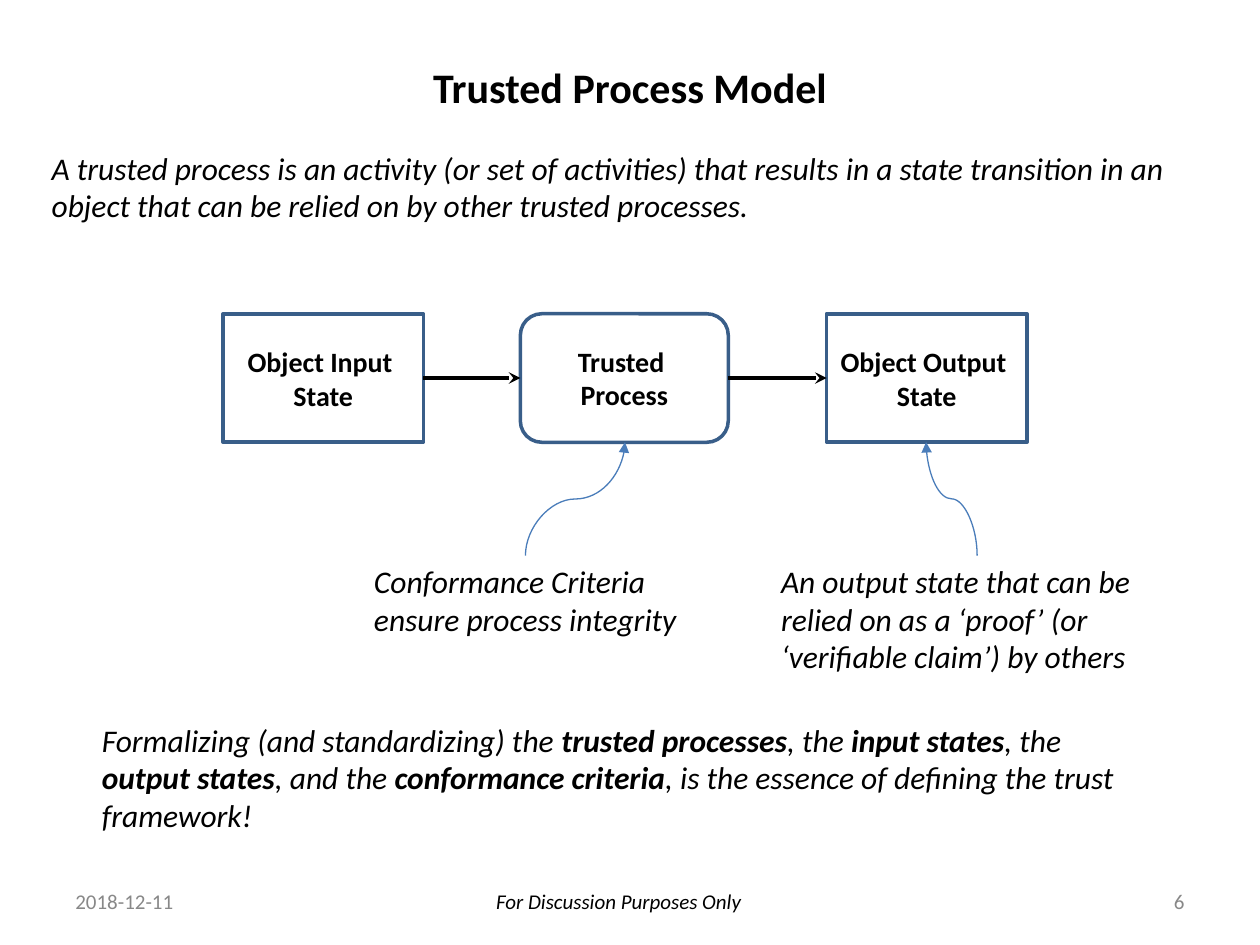
from lxml.etree import SubElement
from pptx import Presentation
from pptx.dml.color import RGBColor
from pptx.enum.shapes import MSO_CONNECTOR, MSO_SHAPE
from pptx.enum.text import MSO_ANCHOR, MSO_AUTO_SIZE, PP_ALIGN
from pptx.oxml.ns import qn
from pptx.util import Inches, Pt

COLORS = {"text": "000000", "muted": "888888", "fill": "FFFFFF",
          "border": "395E89", "pointer": "4A7DBA"}
FONT = "Calibri"
STATE_WIDTH, PROCESS_WIDTH, STEP_HEIGHT = 1.59, 1.65, 1.02
STEP_TOP, NOTE_TOP = 2.49, 4.41


def color(name):
    return RGBColor.from_string(COLORS[name])


def format_text(shape, size, name="text", bold=False, italic=False,
                align=PP_ALIGN.LEFT, anchor=MSO_ANCHOR.TOP):
    frame = shape.text_frame
    frame.word_wrap = True
    frame.auto_size = MSO_AUTO_SIZE.NONE
    frame.vertical_anchor = anchor
    for para in frame.paragraphs:
        para.alignment = align
        para.space_before = Pt(0)
        for span in para.runs:
            span.font.name = FONT
            span.font.size = Pt(size)
            span.font.bold = bold
            span.font.italic = italic
            span.font.color.rgb = color(name)


def place(shape, box):
    shape.left, shape.top, shape.width, shape.height = map(Inches, box)


def add_text(page, box, text, size=18, **style):
    shape = page.shapes.add_textbox(*map(Inches, box))
    shape.text_frame.text = text
    format_text(shape, size, **style)
    return shape


def add_heading(page, title_box, body_box):
    title, body = page.shapes.title, page.placeholders[1]
    place(title, title_box)
    title.text_frame.text = "Trusted Process Model"
    format_text(title, 24, bold=True, align=PP_ALIGN.CENTER, anchor=MSO_ANCHOR.MIDDLE)

    place(body, body_box)
    body.text_frame.text = (
        "A trusted process is an activity (or set of activities) that results in a "
        "state transition in an object that can be relied on by other trusted processes.")
    format_text(body, 18, italic=True)
    # The definition is plain text, without bullet or indent
    properties = body.text_frame.paragraphs[0]._p.get_or_add_pPr()
    properties.set("marL", "0")
    properties.set("indent", "0")
    SubElement(properties, qn("a:buNone"))


def add_step(page, box, text, kind):
    step = page.shapes.add_shape(kind, *map(Inches, box))
    step.shadow.inherit = False
    step.fill.solid()
    step.fill.fore_color.rgb = color("fill")
    step.line.color.rgb = color("border")
    step.line.width = Pt(2)
    step.text_frame.text = text
    format_text(step, 16, bold=True, align=PP_ALIGN.CENTER, anchor=MSO_ANCHOR.MIDDLE)


def add_arrow(page, kind, start, end, name, width, head):
    arrow = page.shapes.add_connector(kind, *map(Inches, start + end))
    arrow.line.color.rgb = color(name)
    arrow.line.width = Pt(width)
    SubElement(arrow.line._get_or_add_ln(), qn("a:tailEnd"), type=head)
    SubElement(arrow._element.spPr, qn("a:effectLst"))
    return arrow


def add_pointer(page, start, end):
    """Curve that leaves and arrives vertically: a sideways curve turned by 270 degrees."""
    middle_x, middle_y = (start[0] + end[0]) / 2, (start[1] + end[1]) / 2
    half_run, half_rise = (end[0] - start[0]) / 2, (start[1] - end[1]) / 2
    pointer = add_arrow(page, MSO_CONNECTOR.CURVE,
                        (middle_x - half_rise, middle_y - half_run),
                        (middle_x + half_rise, middle_y + half_run),
                        "pointer", 0.75, "triangle")
    pointer._element.spPr.xfrm.set("rot", str(270 * 60000))


def add_flow(page, top):
    steps = [
        (1.77, STATE_WIDTH, "Object Input \vState", MSO_SHAPE.RECTANGLE),
        (4.13, PROCESS_WIDTH, "Trusted \vProcess", MSO_SHAPE.ROUNDED_RECTANGLE),
        (6.56, STATE_WIDTH, "Object Output \vState", MSO_SHAPE.RECTANGLE),
    ]
    for left, width, text, kind in steps:
        add_step(page, (left, top, width, STEP_HEIGHT), text, kind)
    middle = top + STEP_HEIGHT / 2
    for (left, width, *_), (next_left, *_) in zip(steps, steps[1:]):
        add_arrow(page, MSO_CONNECTOR.STRAIGHT, (left + width, middle),
                  (next_left, middle), "text", 2.25, "stealth")


def add_note(page, box, text, target):
    left, top, width, _ = box
    add_text(page, box, text, italic=True)
    add_pointer(page, (left + width / 2, top), target)


def add_conclusion(page, box):
    parts = ["Formalizing (and standardizing) the ", "trusted processes", ", the ",
             "input states", ", the ", "output states", ", and the ",
             "conformance criteria",
             ", is the essence of defining the trust framework!"]
    shape = add_text(page, box, "")
    para = shape.text_frame.paragraphs[0]
    for part in parts:
        para.add_run().text = part
    format_text(shape, 18, italic=True)
    # Every second part is a key term
    for span in para.runs[1::2]:
        span.font.bold = True


def add_footer(page, top, height):
    notice = add_text(page, (3.15, top, 3.52, height), "For Discussion Purposes Only",
                      12, italic=True, align=PP_ALIGN.CENTER)
    notice.text_frame.margin_top = notice.text_frame.margin_bottom = Inches(0.1)
    for left, text, align in [(0.5, "2018-12-11", PP_ALIGN.LEFT),
                              (7.17, "6", PP_ALIGN.RIGHT)]:
        add_text(page, (left, top, 2.33, height), text, 12, name="muted",
                 align=align, anchor=MSO_ANCHOR.MIDDLE)


def main():
    deck = Presentation()
    deck.slide_width, deck.slide_height = Inches(10), Inches(7.5)
    page = deck.slides.add_slide(deck.slide_layouts[1])

    # Title and definition
    add_heading(page, (0.5, 0.42, 9, 0.54), (0.31, 1.13, 9.34, 0.63))
    # Process flow
    add_flow(page, STEP_TOP)
    # Notes pointing at the process and its output
    step_bottom = STEP_TOP + STEP_HEIGHT
    add_note(page, (2.87, NOTE_TOP, 2.6, 0.71),
             "Conformance Criteria ensure process integrity", (4.96, step_bottom))
    add_note(page, (6.1, NOTE_TOP, 3.31, 1.01),
             "An output state that can be relied on as a ‘proof’ "
             "(or ‘verifiable claim’) by others", (7.35, step_bottom))
    # Conclusion and footer
    add_conclusion(page, (0.71, 5.67, 8.5, 1.05))
    add_footer(page, 6.95, 0.4)

    deck.save("out.pptx")


if __name__ == "__main__":
    main()
